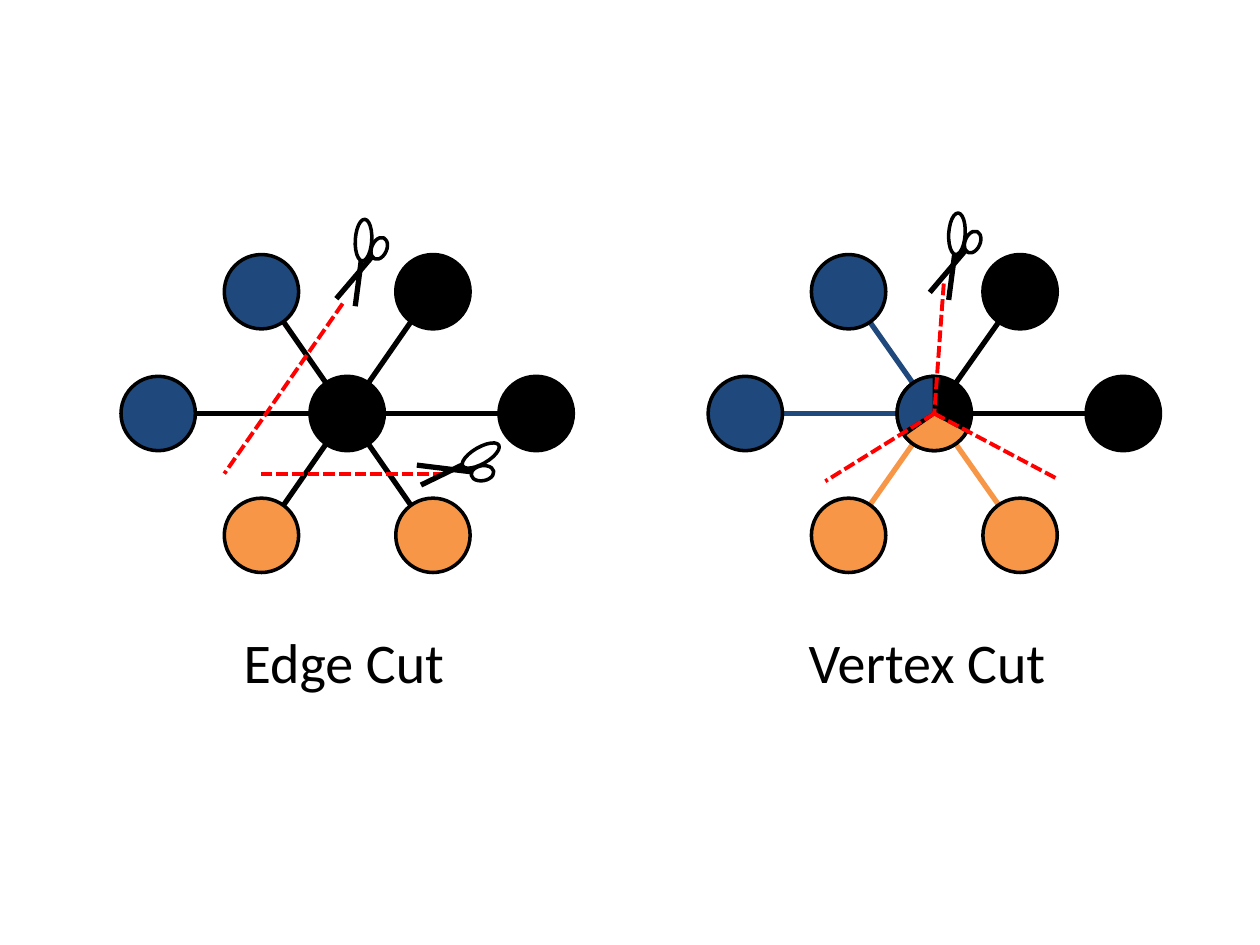
from dataclasses import dataclass
from math import cos, radians, sin

from lxml.etree import SubElement
from pptx import Presentation
from pptx.dml.color import RGBColor
from pptx.enum.dml import MSO_LINE_DASH_STYLE as Dash
from pptx.enum.shapes import MSO_CONNECTOR as Link, MSO_SHAPE as Preset
from pptx.enum.text import MSO_AUTO_SIZE as AutoSize
from pptx.oxml.ns import qn
from pptx.util import Pt


@dataclass(frozen=True)
class Theme:
    black: str = "000000"
    white: str = "FFFFFF"
    blue: str = "1F497D"
    orange: str = "F79646"
    red: str = "FF0000"
    font: str = "Calibri"
    caption_size: float = 32
    edge_width: float = 3
    outline_width: float = 2
    cut_width: float = 2.25


THEME = Theme()

# Layout, in points
NODE = 42.5
RADIUS = NODE / 2
HUB_Y = 236.3
EDGE_HUB_X, VERTEX_HUB_X = 198.4, 533.9
NEAR_X, NEAR_Y, FAR_X = 49, 69.6, 108
CAPTION_Y, CAPTION_HEIGHT = 355, 46

# Outer nodes as offsets from the hub, with their partition colour
OUTER_NODES = [
    (-NEAR_X, -NEAR_Y, THEME.blue),
    (NEAR_X, -NEAR_Y, THEME.black),
    (-FAR_X, 0, THEME.blue),
    (FAR_X, 0, THEME.black),
    (NEAR_X, NEAR_Y, THEME.orange),
    (-NEAR_X, NEAR_Y, THEME.orange),
]


def add_line(group, start, end, color=THEME.black, width=THEME.edge_width, dash=None):
    line = group.shapes.add_connector(Link.STRAIGHT, *map(Pt, (*start, *end)))
    line.line.color.rgb = RGBColor.from_string(color)
    line.line.width = Pt(width)
    if dash:
        line.line.dash_style = dash
    SubElement(line._element.spPr, qn("a:effectLst"))


def add_cut(group, start, end):
    add_line(group, start, end, THEME.red, THEME.cut_width, Dash.SQUARE_DOT)


def add_round(group, center, width, height, fill, preset=Preset.OVAL, turn=0):
    x, y = center
    disc = group.shapes.add_shape(
        preset, Pt(x - width / 2), Pt(y - height / 2), Pt(width), Pt(height))
    disc.rotation = turn
    disc.shadow.inherit = False
    disc.fill.solid()
    disc.fill.fore_color.rgb = RGBColor.from_string(fill)
    disc.line.color.rgb = RGBColor.from_string(THEME.black)
    disc.line.width = Pt(THEME.outline_width)
    return disc


def add_nodes(group, hub_x):
    add_round(group, (hub_x, HUB_Y), NODE, NODE, THEME.black)
    for dx, dy, color in OUTER_NODES:
        add_round(group, (hub_x + dx, HUB_Y + dy), NODE, NODE, color)


def add_sector(group, hub_x, start_angle, end_angle, color):
    sector = add_round(group, (hub_x, HUB_Y), NODE, NODE, color, Preset.PIE)
    # Adjustments count 100000 units, angles 60000 units a degree
    sector.adjustments[0] = start_angle * 0.6
    sector.adjustments[1] = end_angle * 0.6


def add_scissors(group, x, y, turn=0):
    """Scissors around the centre of the large handle, turned clockwise."""
    c, s = cos(radians(turn)), sin(radians(turn))

    def place(dx, dy):
        return x + dx * c - dy * s, y + dx * s + dy * c

    # Blades, then handles
    add_line(group, place(-15.5, 33.5), place(9, 4.7))
    add_line(group, place(-4.7, 37.8), place(0.4, -1.1))
    add_round(group, (x, y), 9.4, 23.8, THEME.white, turn=183.4 + turn)
    add_round(group, place(9, 4.7), 8.6, 13, THEME.white, turn=203.5 + turn)


def add_caption(slide, text, hub_x, width):
    box = slide.shapes.add_textbox(
        Pt(hub_x - width / 2), Pt(CAPTION_Y), Pt(width), Pt(CAPTION_HEIGHT))
    frame = box.text_frame
    frame.word_wrap = False
    frame.auto_size = AutoSize.SHAPE_TO_FIT_TEXT
    run = frame.paragraphs[0].add_run()
    run.text = text
    run.font.name = THEME.font
    run.font.size = Pt(THEME.caption_size)
    run.font.color.rgb = RGBColor.from_string(THEME.black)


def draw_edge_cut(slide):
    group = slide.shapes.add_group_shape()
    # Edges run through the hub to the opposite node
    for dx, dy in [(50, 72), (50, -72), (FAR_X - RADIUS, 0)]:
        add_line(group, (EDGE_HUB_X - dx, HUB_Y - dy), (EDGE_HUB_X + dx, HUB_Y + dy))
    add_nodes(group, EDGE_HUB_X)
    # Cuts across edges
    add_scissors(group, 207.7, 137.2)
    add_cut(group, (195.8, 173.5), (128.2, 270.7))
    add_cut(group, (254.2, 270.7), (146.9, 270.7))
    add_scissors(group, 274.7, 260.3, turn=56.6)


def draw_vertex_cut(slide):
    group = slide.shapes.add_group_shape()
    hub = (VERTEX_HUB_X, HUB_Y)
    # Edges take the colour of their outer node
    for dx, dy, color in OUTER_NODES:
        if dy:
            start, end = hub, (VERTEX_HUB_X + dx, HUB_Y + dy)
        else:
            side = 1 if dx > 0 else -1
            start = (VERTEX_HUB_X + side * RADIUS, HUB_Y)
            end = (VERTEX_HUB_X + dx - side * RADIUS, HUB_Y)
        add_line(group, start, end, color)
    add_nodes(group, VERTEX_HUB_X)
    add_scissors(group, 546.8, 133.6)
    # Hub split into three parts
    add_sector(group, VERTEX_HUB_X, 148.3, 270, THEME.blue)
    add_sector(group, VERTEX_HUB_X, 28.1, 144.9, THEME.orange)
    # Cuts meeting in the hub
    add_cut(group, (539.3, 162), hub)
    add_cut(group, hub, (471.6, 275))
    add_cut(group, hub, (604.1, 273.6))


def main():
    deck = Presentation()
    deck.slide_width, deck.slide_height = Pt(720), Pt(540)
    slide = deck.slides.add_slide(deck.slide_layouts[6])
    draw_edge_cut(slide)
    draw_vertex_cut(slide)
    add_caption(slide, "Vertex Cut", VERTEX_HUB_X, 157.7)
    add_caption(slide, "Edge Cut", EDGE_HUB_X, 132.5)
    deck.save("out.pptx")


if __name__ == "__main__":
    main()
